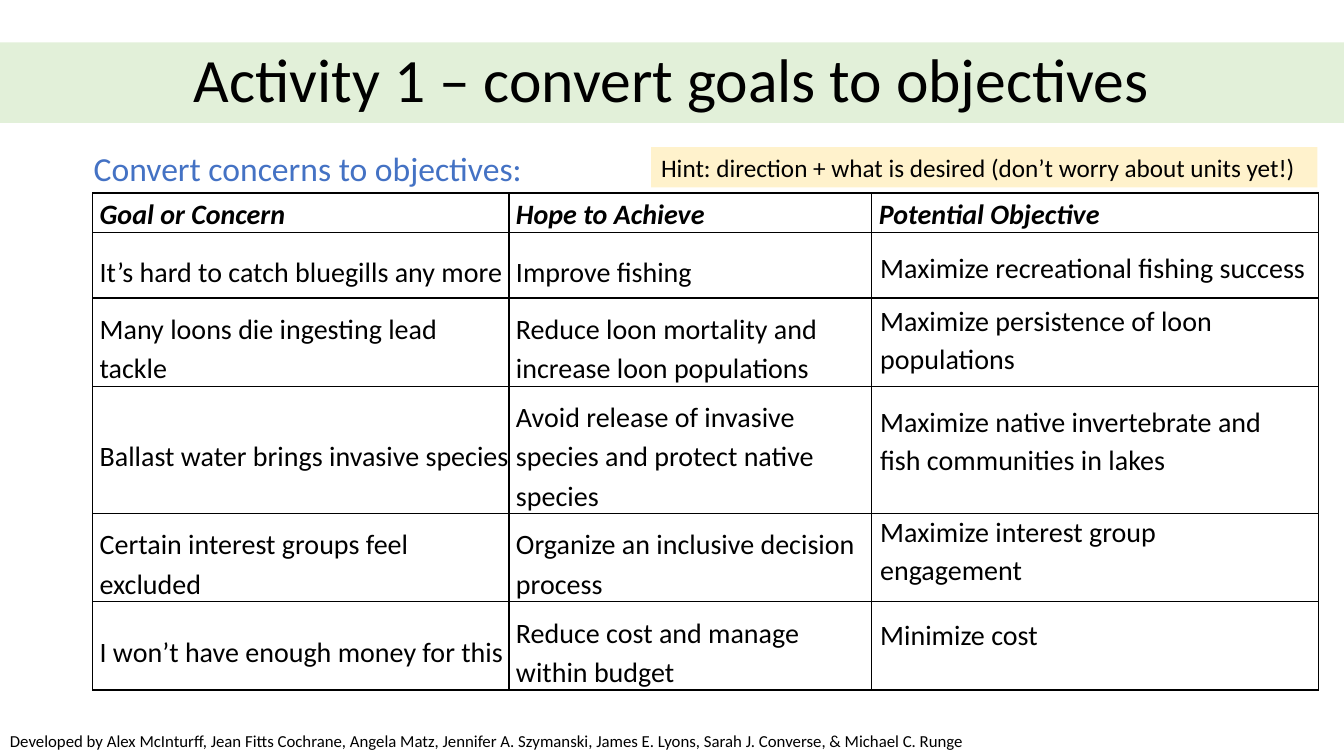
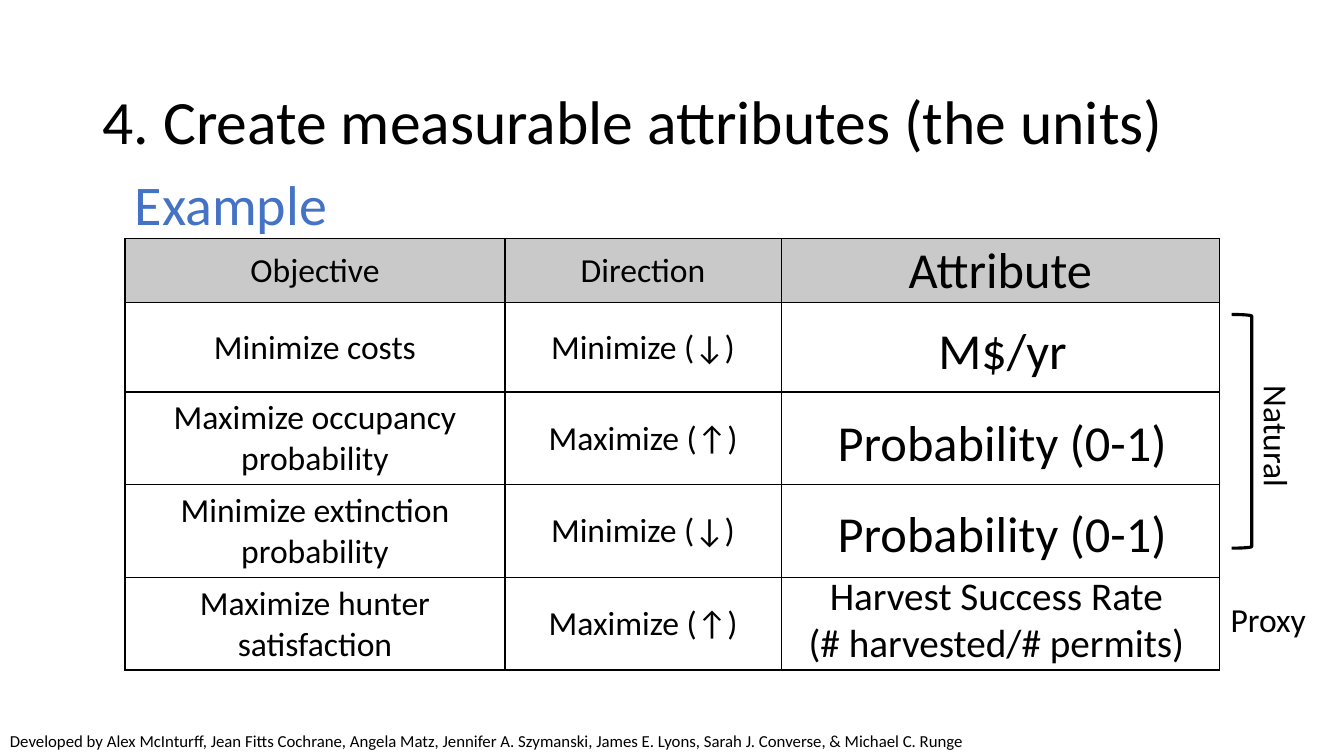
from dataclasses import dataclass
from typing import Optional

import lxml.etree
import pptx
import pptx.dml.color
import pptx.enum.shapes
import pptx.enum.text
import pptx.oxml
import pptx.oxml.ns
import pptx.presentation
import pptx.shapes.base
import pptx.slide
import pptx.table
import pptx.text.text
import pptx.util

Pt = pptx.util.Pt
Color = pptx.dml.color.RGBColor
Align = pptx.enum.text.PP_ALIGN
Anchor = pptx.enum.text.MSO_ANCHOR
AutoSize = pptx.enum.text.MSO_AUTO_SIZE

# Shared style
BLACK = Color(0x00, 0x00, 0x00)
WHITE = Color(0xFF, 0xFF, 0xFF)
BLUE = Color(0x44, 0x72, 0xC4)
GREEN_BAND = Color(0xE2, 0xF0, 0xD9)
HINT_YELLOW = Color(0xFF, 0xF2, 0xCC)
HEADER_GREY = Color(0xC9, 0xC9, 0xC9)
FONT = "Calibri"
TITLE_SIZE = 44
TITLE_ONLY_LAYOUT = 5
INSET = 7.2
CELL_INDENT = 5
LOOSE_LINES = 1.15
CREDIT = (
    "Developed by Alex McInturff, Jean Fitts Cochrane, Angela Matz, Jennifer A. Szymanski, "
    "James E. Lyons, Sarah J. Converse, & Michael C. Runge"
)


@dataclass(frozen=True)
class Frame:
    left: float
    top: float
    width: float
    height: float

    def lengths(self) -> tuple[pptx.util.Length, ...]:
        return Pt(self.left), Pt(self.top), Pt(self.width), Pt(self.height)


@dataclass(frozen=True)
class TextStyle:
    size: float
    color: Color = BLACK
    align: Align = Align.LEFT
    line_spacing: Optional[float] = None
    bold: bool = False
    italic: bool = False


@dataclass(frozen=True)
class Label:
    text: str
    frame: Frame
    style: TextStyle
    indent: float = 0
    fill: Optional[Color] = None
    rotation: float = 0


@dataclass(frozen=True)
class CellStyle:
    text: TextStyle
    margins: tuple[float, float, float, float]
    anchor: Anchor = Anchor.MIDDLE
    fill: Optional[Color] = None


def write_text(frame: pptx.text.text.TextFrame, text: str, style: TextStyle) -> None:
    """Write one paragraph per line of text, all in the same style."""
    for index, line in enumerate(text.split("\n")):
        para = frame.paragraphs[0] if index == 0 else frame.add_paragraph()
        para.text = line
        para.alignment = style.align
        if style.line_spacing:
            para.line_spacing = style.line_spacing
        para.font.name = FONT
        para.font.size = Pt(style.size)
        para.font.bold = style.bold
        para.font.italic = style.italic
        para.font.color.rgb = style.color


def add_label(page: pptx.slide.Slide, label: Label) -> None:
    box = page.shapes.add_textbox(*label.frame.lengths())
    box.rotation = label.rotation
    if label.fill is not None:
        box.fill.solid()
        box.fill.fore_color.rgb = label.fill
    frame = box.text_frame
    frame.word_wrap = True
    frame.auto_size = AutoSize.SHAPE_TO_FIT_TEXT
    frame.margin_left = Pt(INSET + label.indent)
    write_text(frame, label.text, label.style)


def add_page(
    deck: pptx.presentation.Presentation,
    title: str,
    title_frame: Frame,
    align: Align,
    band: Optional[Color] = None,
) -> pptx.slide.Slide:
    """Add a slide with its title and the credit line at the foot."""
    page = deck.slides.add_slide(deck.slide_layouts[TITLE_ONLY_LAYOUT])
    box = page.shapes.title
    box.left, box.top, box.width, box.height = title_frame.lengths()
    if band is not None:
        box.fill.solid()
        box.fill.fore_color.rgb = band
    frame = box.text_frame
    frame.word_wrap = True
    frame.auto_size = AutoSize.NONE
    frame.vertical_anchor = Anchor.MIDDLE
    write_text(frame, title, TextStyle(TITLE_SIZE, align=align, line_spacing=0.9))
    add_label(page, Label(CREDIT, Frame(0, 518.4, 702, 21.6), TextStyle(12)))
    return page


def add_cell_borders(cell: pptx.table._Cell) -> None:
    """Draw a thin black line on each side of the cell."""
    properties = cell._tc.get_or_add_tcPr()
    for index, side in enumerate(("lnL", "lnR", "lnT", "lnB")):
        line = pptx.oxml.parse_xml(
            f'<a:{side} {pptx.oxml.ns.nsdecls("a")} w="{Pt(1)}"><a:solidFill>'
            f'<a:srgbClr val="{BLACK}"/></a:solidFill></a:{side}>'
        )
        properties.insert(index, line)


def add_grid(
    page: pptx.slide.Slide,
    left: float,
    top: float,
    widths: list[float],
    heights: list[float],
    rows: list[tuple[str, ...]],
    header: CellStyle,
    body: CellStyle,
) -> None:
    frame = Frame(left, top, sum(widths), sum(heights))
    table = page.shapes.add_table(len(heights), len(widths), *frame.lengths()).table
    table.first_row = False
    table.horz_banding = False
    for column, width in zip(table.columns, widths):
        column.width = Pt(width)
    for row, height in zip(table.rows, heights):
        row.height = Pt(height)
    for row_index, texts in enumerate(rows):
        style = header if row_index == 0 else body
        for column_index, text in enumerate(texts):
            cell = table.cell(row_index, column_index)
            cell.margin_left, cell.margin_top, cell.margin_right, cell.margin_bottom = map(
                Pt, style.margins
            )
            cell.vertical_anchor = style.anchor
            if style.fill is None:
                cell.fill.background()
            else:
                cell.fill.solid()
                cell.fill.fore_color.rgb = style.fill
            add_cell_borders(cell)
            if text:
                write_text(cell.text_frame, text, style.text)


def build_activity(deck: pptx.presentation.Presentation) -> None:
    page = add_page(
        deck,
        "Activity 1 – convert goals to objectives",
        Frame(0, 30.2, 960, 57.6),
        Align.CENTER,
        GREEN_BAND,
    )

    # Goals table; the last column is filled by the answers laid over it
    rows = [
        ("Goal or Concern", "Hope to Achieve", "Potential Objective"),
        ("It’s hard to catch bluegills any more", "Improve fishing", ""),
        ("Many loons die ingesting lead tackle",
         "Reduce loon mortality and increase loon populations", ""),
        ("Ballast water brings invasive species",
         "Avoid release of invasive species and protect native species", ""),
        ("Certain interest groups feel excluded", "Organize an inclusive decision process", ""),
        ("I won’t have enough money for this", "Reduce cost and manage within budget", ""),
    ]
    header = CellStyle(
        TextStyle(20, line_spacing=LOOSE_LINES, bold=True, italic=True),
        (CELL_INDENT, 0, 0, 0),
        Anchor.TOP,
    )
    answer_style = TextStyle(20, line_spacing=LOOSE_LINES)
    body = CellStyle(answer_style, (CELL_INDENT, 6.8, 0, 0))
    add_grid(page, 66.2, 137.9, [297.4, 259.2, 319], [28.2, 46.8, 63, 91, 63, 63],
             rows, header, body)

    # Answers: text, top, width, height
    answers = [
        ("Maximize recreational fishing success", 172.1, 337.7, 33.8),
        ("Maximize persistence of loon populations", 209.5, 301.7, 61.2),
        ("Maximize native invertebrate and fish communities in lakes", 281.5, 301.7, 61.2),
        ("Maximize interest group engagement", 360, 301.7, 61.2),
        ("Minimize cost", 434.2, 301.7, 33.8),
    ]
    for text, top, width, height in answers:
        add_label(page, Label(text, Frame(616.5, top, width, height), answer_style, CELL_INDENT))

    # Heading and hint above the table
    add_label(page, Label("Convert concerns to objectives:", Frame(59.8, 102.2, 400, 36),
                          TextStyle(24, BLUE)))
    add_label(page, Label("Hint: direction + what is desired (don’t worry about units yet!)",
                          Frame(465.1, 105.1, 475.9, 28.8), TextStyle(18), fill=HINT_YELLOW))


def build_attributes(deck: pptx.presentation.Presentation) -> None:
    page = add_page(deck, "4. Create measurable attributes (the units)",
                    Frame(66.2, 36.7, 828, 104.4), Align.LEFT)
    add_label(page, Label("Example", Frame(89.3, 117.4, 522.7, 55.4), TextStyle(40, BLUE)))

    # Objectives table
    rows = [
        ("Objective", "Direction", ""),
        ("Minimize costs", "Minimize (↓)", ""),
        ("Maximize occupancy probability", "Maximize (↑)", ""),
        ("Minimize extinction probability", "Minimize (↓)", ""),
        ("Maximize hunter satisfaction", "Maximize (↑)", ""),
    ]
    centred = TextStyle(24, align=Align.CENTER)
    large = TextStyle(36, align=Align.CENTER)
    margins = (0.7, 0.7, 0.7, 0)
    widths = [271.4, 197.3, 313.2]
    heights = [45.4, 64.1] + [66.2] * 3
    add_grid(page, 89.3, 170.6, widths, heights, rows,
             CellStyle(centred, margins, fill=HEADER_GREY),
             CellStyle(centred, margins, fill=WHITE))
    table = page.shapes[-1].table
    write_text(table.cell(0, 2).text_frame, "Attribute", large)

    # Attributes over the last column
    probability = "Probability (0-1)"
    attributes = [
        Label("M$/yr", Frame(621.4, 224.6, 189.4, 51.1), large),
        Label(probability, Frame(591.1, 290.2, 249.8, 51.1), large),
        Label(probability, Frame(591.1, 355, 249.8, 51.1), large),
        Label("Harvest Success Rate\n(# harvested/# permits)", Frame(552.2, 404.6, 319, 74.9),
              TextStyle(28, align=Align.CENTER)),
    ]
    # Kinds of attribute beside the table
    kinds = [
        Label("Natural", Frame(856.8, 306, 110.9, 36), TextStyle(24), rotation=90),
        Label("Proxy", Frame(871.9, 424.1, 79.9, 36), TextStyle(24)),
    ]
    for label in attributes + kinds:
        add_label(page, label)

    bracket = page.shapes.add_shape(
        pptx.enum.shapes.MSO_SHAPE.RIGHT_BRACKET, *Frame(879.8, 224.6, 14.4, 167).lengths()
    )
    bracket.shadow.inherit = False
    bracket.fill.background()
    bracket.line.color.rgb = BLACK
    bracket.line.width = Pt(2.25)


def main() -> None:
    deck = pptx.Presentation()
    deck.slide_width, deck.slide_height = Pt(960), Pt(540)
    build_activity(deck)
    build_attributes(deck)
    deck.save("out.pptx")


if __name__ == "__main__":
    main()
